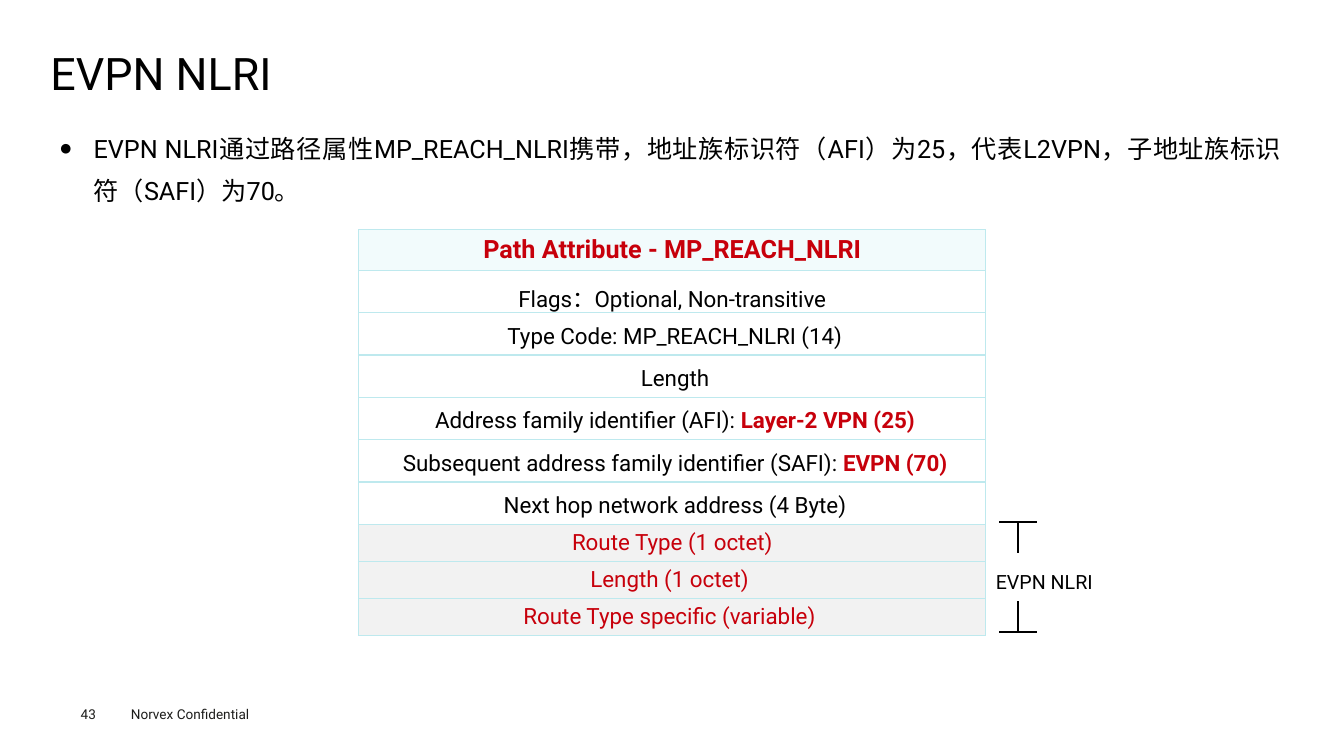
"""Build the EVPN NLRI slide: heading, explanation and path attribute table."""
from dataclasses import dataclass

import lxml.etree
import pptx
import pptx.dml.color
import pptx.enum.shapes
import pptx.enum.text
import pptx.oxml.ns
import pptx.util

Pt = pptx.util.Pt
qn = pptx.oxml.ns.qn
ALIGN = pptx.enum.text.PP_ALIGN
ANCHOR = pptx.enum.text.MSO_ANCHOR


@dataclass(frozen=True)
class Theme:
    font: str = "Roboto"
    ink: str = "000000"
    footer_ink: str = "1D1D1B"
    accent: str = "C7000B"
    border: str = "BEE9EE"
    header_fill: str = "F2FBFC"
    nlri_fill: str = "F2F2F2"
    title: float = 32
    body: float = 18
    field: float = 16
    label: float = 14
    footer: float = 9.7


THEME = Theme()


def rgb(value):
    return pptx.dml.color.RGBColor.from_string(value)


def apply(target, values):
    for name, value in values.items():
        setattr(target, name, value)


def add_run(paragraph, text, size, color=THEME.ink, bold=False):
    run = paragraph.add_run()
    run.text = text
    apply(run.font, {"name": THEME.font, "size": Pt(size), "bold": bold})
    run.font.color.rgb = rgb(color)


def add_bullet(paragraph, indent):
    properties = paragraph._p.get_or_add_pPr()
    properties.set("marL", str(Pt(indent)))
    properties.set("indent", str(-Pt(indent)))
    for tag, key, value in (("a:buSzPct", "val", "50000"),
                            ("a:buFont", "typeface", THEME.font),
                            ("a:buChar", "char", "●")):
        lxml.etree.SubElement(properties, qn(tag)).set(key, value)


def add_text(slide, box, text, size, color=THEME.ink, margins=(7.2, 3.6),
             anchor=ANCHOR.TOP, indent=0, **paragraph_format):
    frame = slide.shapes.add_textbox(*map(Pt, box)).text_frame
    across, down = map(Pt, margins)
    apply(frame, {"word_wrap": True, "vertical_anchor": anchor,
                  "margin_left": across, "margin_right": across,
                  "margin_top": down, "margin_bottom": down})
    paragraph = frame.paragraphs[0]
    apply(paragraph, paragraph_format)
    if indent:
        add_bullet(paragraph, indent)
    add_run(paragraph, text, size, color)


def add_borders(cell):
    properties = cell._tc.get_or_add_tcPr()
    for position, side in enumerate(("a:lnL", "a:lnR", "a:lnT", "a:lnB")):
        edge = lxml.etree.Element(qn(side), w=str(Pt(1)))
        fill = lxml.etree.SubElement(edge, qn("a:solidFill"))
        lxml.etree.SubElement(fill, qn("a:srgbClr")).set("val", THEME.border)
        properties.insert(position, edge)


def fill_cell(cell, runs, fill=None, spacing=None):
    cell.vertical_anchor = ANCHOR.MIDDLE
    if fill:
        cell.fill.solid()
        cell.fill.fore_color.rgb = rgb(fill)
    else:
        cell.fill.background()
    add_borders(cell)
    paragraph = cell.text_frame.paragraphs[0]
    apply(paragraph, {"alignment": ALIGN.CENTER, "line_spacing": spacing})
    for run in runs:
        add_run(paragraph, *run)


def add_attribute_table(slide, box, header, fields, nlri_fields):
    row_count = 1 + len(fields) + len(nlri_fields)
    table = slide.shapes.add_table(row_count, 1, *map(Pt, box)).table
    apply(table, {"first_row": False, "horz_banding": False})
    for row in table.rows:
        row.height = Pt(22.4)
    cells = iter([row.cells[0] for row in table.rows])
    fill_cell(next(cells), [(header, THEME.body, THEME.accent, True)],
              THEME.header_fill)
    for name, value in fields:
        runs = [(name, THEME.field)]
        if value:
            runs.append((value, THEME.field, THEME.accent, True))
        fill_cell(next(cells), runs, spacing=1.2)
    for name in nlri_fields:
        fill_cell(next(cells), [(name, THEME.field, THEME.accent)],
                  THEME.nlri_fill)


def add_line(slide, *ends):
    line = slide.shapes.add_connector(
        pptx.enum.shapes.MSO_CONNECTOR.STRAIGHT, *map(Pt, ends))
    line.line.color.rgb = rgb(THEME.ink)
    line.line.width = Pt(1.5)
    lxml.etree.SubElement(line._element.spPr, qn("a:effectLst"))


def add_bracket_end(slide, center, bar_y, stem_y):
    add_line(slide, center - 13.4, bar_y, center + 13.4, bar_y)
    add_line(slide, center, bar_y, center, stem_y)


def main():
    deck = pptx.Presentation()
    apply(deck, {"slide_width": Pt(960), "slide_height": Pt(540)})
    slide = deck.slides.add_slide(deck.slide_layouts[6])

    add_text(slide, (86.4, 500.4, 115.2, 19.4), "Norvex Confidential",
             THEME.footer, THEME.footer_ink)
    add_text(slide, (57.6, 504, 39.6, 11.5), "43",
             THEME.footer, THEME.footer_ink, margins=(0, 0))
    add_text(slide, (36, 35.3, 886.3, 38.2), "EVPN NLRI", THEME.title,
             margins=(0, 0), anchor=ANCHOR.MIDDLE, line_spacing=0.9)
    add_text(slide, (36, 82.8, 886.3, 64.8),
             "EVPN NLRI通过路径属性MP_REACH_NLRI携带，地址族标识符（AFI）为25，"
             "代表L2VPN，子地址族标识符（SAFI）为70。",
             THEME.body, indent=23.8, alignment=ALIGN.JUSTIFY, line_spacing=1.4)

    add_attribute_table(
        slide, (256.3, 164.2, 447.8, 224),
        "Path Attribute - MP_REACH_NLRI",
        [("Flags：Optional, Non-transitive", ""),
         (" Type Code: MP_REACH_NLRI (14)", ""),
         (" Length", ""),
         (" Address family identifier (AFI): ", "Layer-2 VPN (25)"),
         (" Subsequent address family identifier (SAFI): ", "EVPN (70)"),
         (" Next hop network address (4 Byte)", "")],
        ["Route Type (1 octet)", "Length (1 octet) ",
         "Route Type specific (variable) "])

    add_text(slide, (704.2, 396.7, 87.1, 27.4), "EVPN NLRI", THEME.label,
             line_spacing=1.4)
    for bar_y, stem_y in ((451.4, 429.1), (373, 395.3)):
        add_bracket_end(slide, 727, bar_y, stem_y)

    deck.save("out.pptx")


if __name__ == "__main__":
    main()
